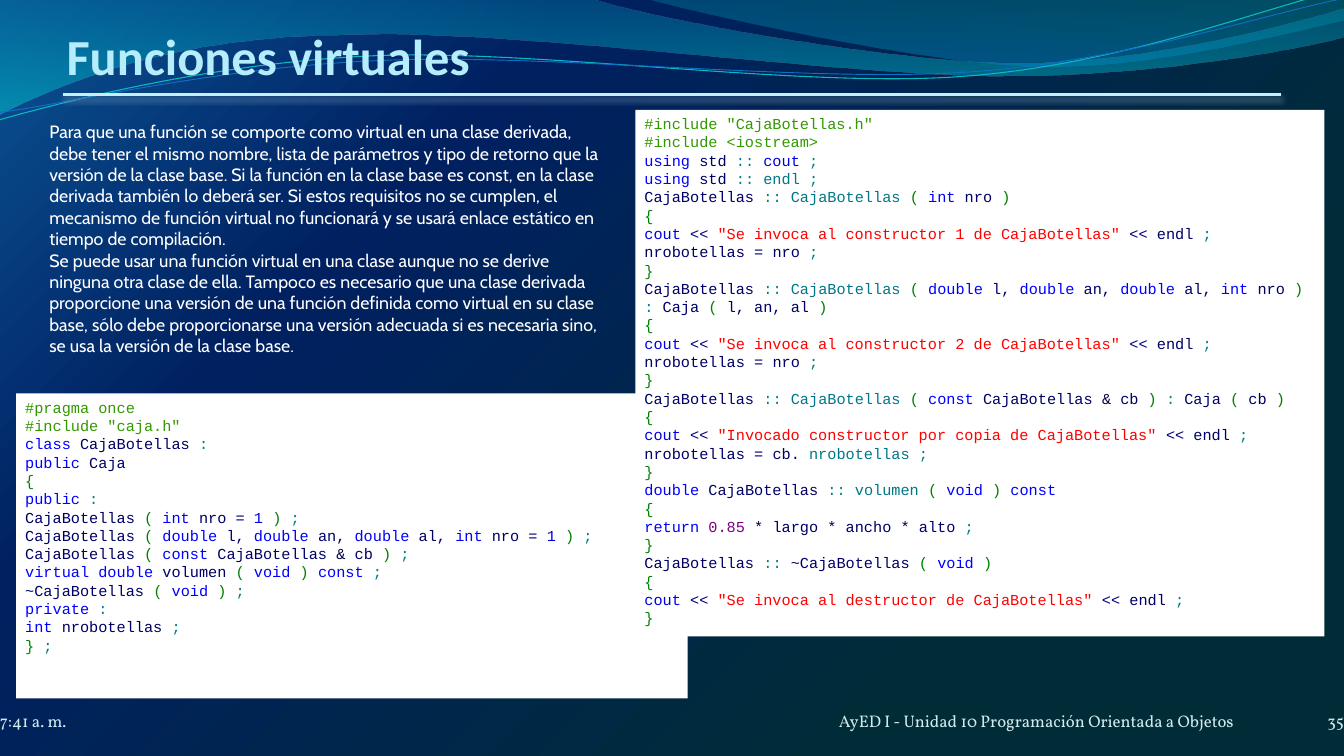
from copy import deepcopy
from itertools import groupby
from pptx import Presentation
from pptx.util import Cm, Pt
from pptx.dml.color import RGBColor
from pptx.enum.shapes import MSO_SHAPE as Kind, MSO_CONNECTOR as Link
from pptx.enum.text import MSO_ANCHOR as Anchor, PP_ALIGN as Align
from pptx.oxml import parse_xml
from pptx.oxml.ns import qn, nsdecls

NS = nsdecls("a")
WIDE, HIGH = 37.31, 20.98
HARD = chr(160)  # no-break space between code tokens

# Colours of the C++ code
WORDS = {
    "0000FF": "class public int double const virtual void private using return",
    "008080": ":: : ;",
    "008000": "( ) { }",
    "000080": "= <<",
    "000040": "& *",
    "0000DD": "1 cout",
    "800080": "0.85",
}
TINT = {word: color for color, words in WORDS.items() for word in words.split()}
PLAIN, MEMBER, QUOTE, MACRO = "000066", "007788", "FF0000", "339900"

HEADER = """#pragma once
#include "caja.h"
class CajaBotellas :
public Caja
{
public :
CajaBotellas ( int nro = 1 ) ;
CajaBotellas ( double l, double an, double al, int nro = 1 ) ;
CajaBotellas ( const CajaBotellas & cb ) ;
virtual double volumen ( void ) const ;
~CajaBotellas ( void ) ;
private :
int nrobotellas ;
} ;"""

SOURCE = """#include "CajaBotellas.h"
#include <iostream>
using std :: cout ;
using std :: endl ;
CajaBotellas :: CajaBotellas ( int nro )
{
cout << "Se invoca al constructor 1 de CajaBotellas" << endl ;
nrobotellas = nro ;
}
CajaBotellas :: CajaBotellas ( double l, double an, double al, int nro ) : Caja ( l, an, al )
{
cout << "Se invoca al constructor 2 de CajaBotellas" << endl ;
nrobotellas = nro ;
}
CajaBotellas :: CajaBotellas ( const CajaBotellas & cb ) : Caja ( cb )
{
cout << "Invocado constructor por copia de CajaBotellas" << endl ;
nrobotellas = cb. nrobotellas ;
}
double CajaBotellas :: volumen ( void ) const
{
return 0.85 * largo * ancho * alto ;
}
CajaBotellas :: ~CajaBotellas ( void )
{
cout << "Se invoca al destructor de CajaBotellas" << endl ;
}"""

BODY = [
    "Para que una función se comporte como virtual en una clase derivada, debe tener el mismo nombre, "
    "lista de parámetros y tipo de retorno que la versión de la clase base. Si la función en la clase "
    "base es const, en la clase derivada también lo deberá ser. Si estos requisitos no se cumplen, el "
    "mecanismo de función virtual no funcionará y se usará enlace estático en tiempo de compilación.",
    "Se puede usar una función virtual en una clase aunque no se derive ninguna otra clase de ella. "
    "Tampoco es necesario que una clase derivada proporcione una versión de una función definida como "
    "virtual en su clase base, sólo debe proporcionarse una versión adecuada si es necesaria sino, se "
    "usa la versión de la clase base.",
]

# Waves: a start, then lines (x, y) and curves (two handles and an end)
BAND = [(0, 0), (16.43, -0.03), (17.75, 0.46, 24.77, 1.75, 28.3, 1.75),
        (31.83, 1.75, 35.76, 0.71, 37.31, 0.25), (37.36, 1.02),
        (36.7, 1.22, 32.46, 2.11, 27.84, 2.11), (23.22, 2.11, 14.25, 0.79, 9.6, 0.97),
        (4.83, 0.99, 1.7, 2.31, -0.05, 3.18)]
CREST = [(17.88, -0.03), (19, 0.3, 25.45, 1.73, 28.68, 1.83),
         (31.93, 1.93, 35.86, 0.89, 37.31, 0.58), (37.31, 0)]
TEAL = [(-0.03, 3.33), (1.78, 2.82, 5.89, 1.75, 10.34, 1.55),
        (14.76, 1.35, 22.1, 2.44, 26.59, 2.13), (31.06, 1.83, 35.03, 0.23, 37.24, -0.28)]
BLUE = [(0, 3.12), (1.75, 2.9, 6.12, 1.85, 10.57, 1.68),
        (15.04, 1.47, 22.28, 2.29, 26.75, 2.01), (31.19, 1.73, 35.13, 0.38, 37.34, -0.05)]


def rgb(code):
    return RGBColor.from_string(code)


def write(para, text, font="Vollkorn", size=13.2, color="D1EAEE", bold=False):
    run = para.add_run()
    run.text = text
    run.font.name, run.font.size, run.font.bold = font, Pt(size), bold
    run.font.color.rgb = rgb(color)


def blend(host, stops, shade):
    """Fill the gradient in host with (place, colour, opacity) stops."""
    node = next(host.iter(qn("a:gradFill")))
    for child in list(node):
        node.remove(child)
    marks = "".join(
        f'<a:gs pos="{place * 1000}"><a:srgbClr val="{color}"><a:alpha val="{alpha * 1000}"/>'
        f'</a:srgbClr></a:gs>' for place, color, alpha in stops)
    node.append(parse_xml(f"<a:gsLst {NS}>{marks}</a:gsLst>"))
    node.append(parse_xml(shade))


def bend(shape, steps):
    """Join each three line segments of a curve step into one Bézier."""
    lines = iter(list(shape.element.iter(qn("a:lnTo"))))
    for step in steps:
        first = next(lines)
        if len(step) == 6:
            curve = parse_xml(f"<a:cubicBezTo {NS}/>")
            first.addprevious(curve)
            for line in (first, next(lines), next(lines)):
                curve.append(line[0])
                line.getparent().remove(line)


def paint(line):
    """Split a line of code into (text, colour) pieces."""
    if line.startswith("#"):
        return [(line, MACRO)]
    pairs, last = [], ""
    for i, part in enumerate(line.split('"')):
        if i % 2:
            pairs.append((f'"{part}"', QUOTE))
            continue
        for word in part.split():
            member = last in ("::", "cb.") and not word.startswith("~")
            pairs.append((word, TINT.get(word, MEMBER if member else PLAIN)))
            last = word
    pairs = [(word + HARD, color) for word, color in pairs[:-1]] + pairs[-1:]
    return [("".join(word for word, _ in group), color)
            for color, group in groupby(pairs, key=lambda pair: pair[1])]


class Deck:
    down = f'<a:lin {NS} ang="5400000" scaled="0"/>'
    glow = f'<a:path {NS} path="circle"><a:fillToRect r="100000" b="100000"/></a:path>'

    def __init__(self):
        self.show = Presentation()
        self.show.slide_width, self.show.slide_height = Cm(WIDE), Cm(HIGH)
        self.page = self.show.slides.add_slide(self.show.slide_layouts[6])
        self.shapes = self.page.shapes

    def back(self, stops):
        self.page.background.fill.gradient()
        blend(self.page.element, stops, self.glow)

    def wave(self, wave, stops=None, color=None, width=0):
        (x, y), *steps = wave
        pen = self.shapes.build_freeform(Cm(x), Cm(y))
        spots = [(Cm(step[i]), Cm(step[i + 1])) for step in steps for i in range(0, len(step), 2)]
        pen.add_line_segments(spots, close=bool(stops))
        shape = pen.convert_to_shape()
        bend(shape, steps)
        shape.shadow.inherit = False
        if stops:
            shape.fill.gradient()
            blend(shape.element, stops, self.down)
            shape.line.fill.background()
        else:
            shape.fill.background()
            shape.line.color.rgb, shape.line.width = rgb(color), Pt(width)

    def rule(self, x, y, end, color, width):
        line = self.shapes.add_connector(Link.STRAIGHT, Cm(x), Cm(y), Cm(end), Cm(y))
        line.line.color.rgb, line.line.width = rgb(color), Pt(width)
        line.element.spPr.append(parse_xml(
            f'<a:effectLst {NS}><a:outerShdw blurRad="57150" dist="38100" dir="5400000">'
            '<a:srgbClr val="7FA0B8"><a:alpha val="48000"/></a:srgbClr></a:outerShdw></a:effectLst>'))

    def text(self, box, paras, anchor=Anchor.BOTTOM, align=Align.LEFT, inset=(0, 0), **style):
        frame = self.shapes.add_textbox(*map(Cm, box)).text_frame
        frame.word_wrap, frame.vertical_anchor = True, anchor
        frame.margin_left = frame.margin_right = Cm(inset[0])
        frame.margin_top = frame.margin_bottom = Cm(inset[1])
        for i, text in enumerate(paras):
            para = frame.add_paragraph() if i else frame.paragraphs[0]
            para.alignment = align
            write(para, text, **style)

    def code(self, box, lines):
        panel = self.shapes.add_shape(Kind.RECTANGLE, *map(Cm, box))
        panel.shadow.inherit = False
        panel.fill.solid()
        panel.fill.fore_color.rgb = rgb("FFFFFF")
        panel.line.fill.background()
        frame = panel.text_frame
        frame.word_wrap, frame.vertical_anchor = True, Anchor.TOP
        para = frame.paragraphs[0]
        para.alignment, para.line_spacing = Align.LEFT, Pt(14.4)
        for i, line in enumerate(lines.split("\n")):
            if i:
                para.add_line_break()
            for text, color in paint(line):
                write(para, text, font="Courier New", size=12, color=color)
        # Breaks take the format of the run before
        for mark in panel.element.iter(qn("a:br")):
            mark.append(deepcopy(mark.getprevious().find(qn("a:rPr"))))


def main():
    deck = Deck()
    # Background and waves
    deck.back([(0, "0B5394", 100), (28, "002060", 100), (76, "002C38", 100)])
    deck.wave(BAND, stops=[(0, "0074A1", 45), (100, "00C6CF", 55)])
    deck.wave(CREST, stops=[(0, "00A1A9", 30), (80, "008BBF", 45)])
    deck.wave(TEAL, color="0AB8BF", width=0.85)
    deck.wave(BLUE, color="0F6FC6", width=0.75)
    # Title
    deck.rule(1.75, 2.62, 35.56, "C4EFFF", 2.25)
    deck.text((1.85, 0.86, 33.58, 1.52), ["Funciones virtuales"],
              font="Calibri", size=39.7, color="B5EDFD", bold=True)
    # Footer
    deck.text((0, 19.53, 8.59, 0.76), ["7:41 a. m."])
    deck.text((23.29, 19.53, 14.02, 0.76), ["AyED I - Unidad 10 Programación Orientada a Objetos"])
    deck.text((35.2, 19.35, 2.11, 0.94), ["35"], align=Align.RIGHT)
    # Code and explanation
    deck.code((0.45, 10.92, 18.64, 8.46), HEADER)
    deck.code((17.64, 3.05, 19.13, 14.61), SOURCE)
    deck.text((1.12, 3.23, 16.05, 6.83), BODY, anchor=Anchor.TOP, inset=(0.25, 0.13),
              font="Cabin", size=14, color="FFFFFF")
    deck.show.save("out.pptx")


if __name__ == "__main__":
    main()
